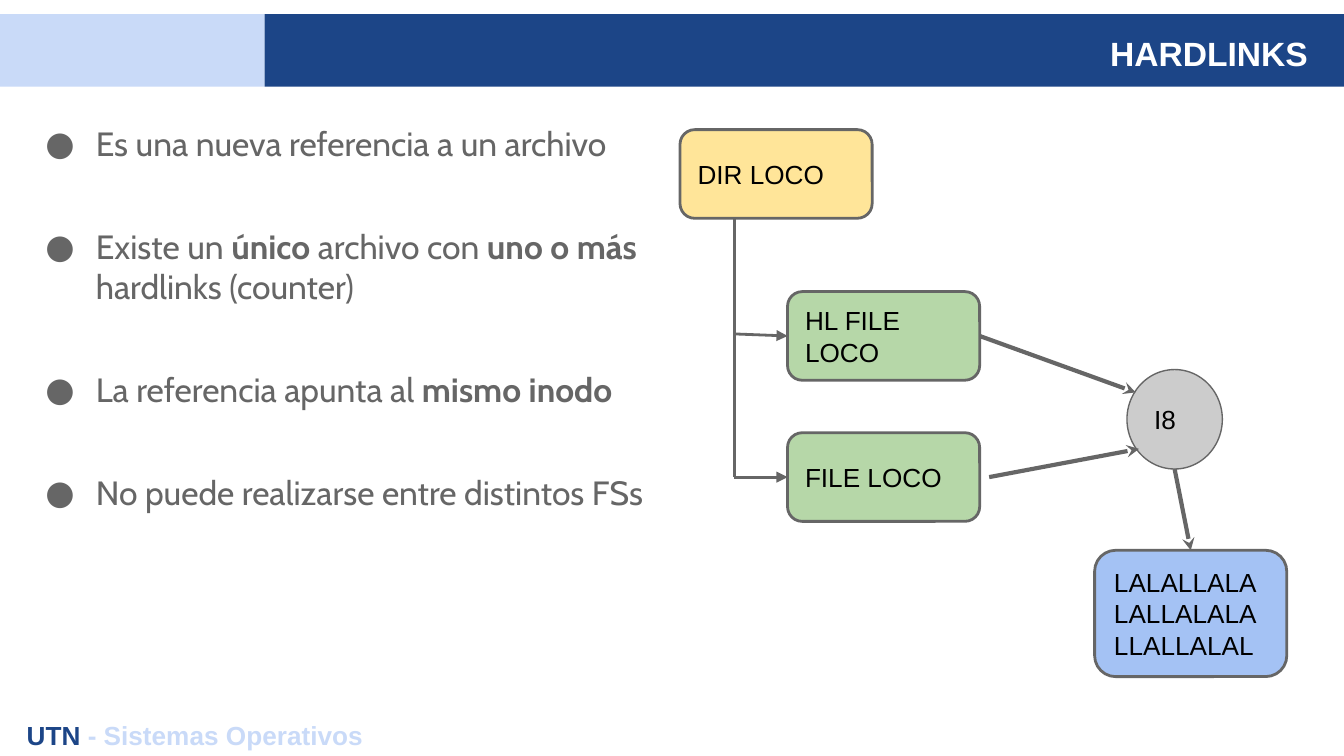
"""Build the HARDLINKS slide: bullet list beside a directory, file and inode diagram."""
from lxml import etree
from pptx import Presentation
from pptx.dml.color import RGBColor
from pptx.enum.shapes import MSO_CONNECTOR, MSO_SHAPE
from pptx.enum.text import MSO_ANCHOR, PP_ALIGN
from pptx.oxml.ns import qn
from pptx.util import Inches, Pt

COLORS = {
    "navy": "1C4587", "pale": "C9DAF8", "white": "FFFFFF", "black": "000000",
    "gray": "666666", "yellow": "FFE599", "green": "B6D7A8",
    "blue": "A4C2F4", "silver": "CCCCCC",
}
COLORS_RGB = {name: RGBColor.from_string(value) for name, value in COLORS.items()}

presentation = Presentation()
presentation.slide_width = Inches(10)
presentation.slide_height = Inches(10 * 9 / 16)
COLUMN = presentation.slide_width / 100
ROW = presentation.slide_height / 56.25
slide = presentation.slides.add_slide(presentation.slide_layouts[6])


def place(left, top, width, height):
    return round(left * COLUMN), round(top * ROW), round(width * COLUMN), round(height * ROW)


def prepare_frame(shape, anchor):
    frame = shape.text_frame
    frame.word_wrap = True
    frame.vertical_anchor = anchor
    frame.margin_left = frame.margin_right = round(COLUMN)
    frame.margin_top = frame.margin_bottom = round(ROW)
    return frame


for left, width, color in [(0, 19.7, "pale"), (19.7, 80.4, "navy")]:
    band = slide.shapes.add_shape(MSO_SHAPE.RECTANGLE, *place(left, 1.05, width, 5.4))
    band.shadow.inherit = False
    band.fill.solid()
    band.fill.fore_color.rgb = COLORS_RGB[color]
    band.line.fill.background()

texts = [
    ((13.3, 2.75, 85, 3.7), MSO_ANCHOR.BOTTOM, PP_ALIGN.RIGHT, 18, [("HARDLINKS", "white")]),
    ((1, 52.55, 98.1, 3.3), MSO_ANCHOR.TOP, PP_ALIGN.LEFT, 14,
     [("UTN", "navy"), (" - Sistemas Operativos", "pale")]),
]
for box, anchor, alignment, size, runs in texts:
    frame = prepare_frame(slide.shapes.add_textbox(*place(*box)), anchor)
    paragraph = frame.paragraphs[0]
    paragraph.alignment = alignment
    paragraph.font.name, paragraph.font.size, paragraph.font.bold = "Arial", Pt(size), True
    for text, color in runs:
        run = paragraph.add_run()
        run.text = text
        run.font.color.rgb = COLORS_RGB[color]

bullets = [
    [("Es una nueva referencia a un archivo", False)],
    [("Existe un ", False), ("único ", True), ("archivo con ", False),
     ("uno o más ", True), ("hardlinks (counter)", False)],
    [("La referencia apunta al ", False), ("mismo inodo", True)],
    [("No puede realizarse entre distintos FSs", False)],
]
frame = prepare_frame(slide.shapes.add_textbox(*place(1.15, 8.15, 49.4, 39.9)), MSO_ANCHOR.TOP)
for index, runs in enumerate(bullets):
    paragraph = frame.add_paragraph() if index else frame.paragraphs[0]
    properties = paragraph._p.get_or_add_pPr()
    properties.set("marL", str(round(5 * COLUMN)))
    properties.set("indent", str(round(-3.75 * COLUMN)))
    bullet_color = etree.SubElement(properties, qn("a:buClr"))
    etree.SubElement(bullet_color, qn("a:srgbClr"), val=COLORS["gray"])
    etree.SubElement(properties, qn("a:buFont"), typeface="Cabin")
    etree.SubElement(properties, qn("a:buChar"), char="●")
    paragraph.space_before = Pt(33.5 if index else 0)
    paragraph.font.name, paragraph.font.size = "Cabin", Pt(18)
    paragraph.font.color.rgb = COLORS_RGB["gray"]
    for text, bold in runs:
        run = paragraph.add_run()
        run.text = text
        run.font.bold = bold

nodes = {}
for name, text, kind, box, color, line_width in [
    ("directory", "DIR LOCO", MSO_SHAPE.ROUNDED_RECTANGLE, (50.6, 9.65, 14.3, 6.6), "yellow", 1.5),
    ("file", "FILE LOCO", MSO_SHAPE.ROUNDED_RECTANGLE, (58.6, 32.2, 14.3, 6.6), "green", 1.5),
    ("hardlink", "HL FILE LOCO", MSO_SHAPE.ROUNDED_RECTANGLE, (58.6, 21.7, 14.3, 6.6), "green", 1.5),
    ("content", "LALALLALALALLALALALLALLALAL", MSO_SHAPE.ROUNDED_RECTANGLE,
     (81.45, 40.95, 14.3, 9.4), "blue", 1.5),
    ("inode", "I8", MSO_SHAPE.OVAL, (83.85, 27.5, 7.1, 7.4), "silver", 0.75),
]:
    node = nodes[name] = slide.shapes.add_shape(kind, *place(*box))
    node.shadow.inherit = False
    node.fill.solid()
    node.fill.fore_color.rgb = COLORS_RGB[color]
    node.line.color.rgb = COLORS_RGB["gray"]
    node.line.width = Pt(line_width)
    frame = prepare_frame(node, MSO_ANCHOR.MIDDLE)
    frame.text = text
    paragraph = frame.paragraphs[0]
    paragraph.alignment = PP_ALIGN.LEFT
    paragraph.font.name, paragraph.font.size = "Arial", Pt(14)
    paragraph.font.color.rgb = COLORS_RGB["black"]

for ends, line_width, head, begin, end in [
    ((54.65, 16.2, 54.65, 35.5), 1.5, None, None, None),
    ((54.65, 24.85, 58.6, 25), 1.5, "triangle", None, ("hardlink", 1)),
    ((54.65, 35.5, 58.6, 35.5), 1.5, "triangle", None, ("file", 1)),
    ((72.9, 25, 84.5, 29.2), 2.25, "stealth", ("hardlink", 3), None),
    ((73.6, 35.5, 84.75, 33.4), 2.25, "stealth", None, None),
    ((87.4, 34.9, 88.6, 40.95), 2.25, "stealth", None, ("content", 0)),
]:
    connector = slide.shapes.add_connector(MSO_CONNECTOR.STRAIGHT, *place(*ends))
    if begin:
        connector.begin_connect(nodes[begin[0]], begin[1])
    if end:
        connector.end_connect(nodes[end[0]], end[1])
    connector.line.color.rgb = COLORS_RGB["gray"]
    connector.line.width = Pt(line_width)
    if head:
        etree.SubElement(connector.line._get_or_add_ln(), qn("a:tailEnd"), type=head)
    etree.SubElement(connector._element.spPr, qn("a:effectLst"))

presentation.save("out.pptx")
